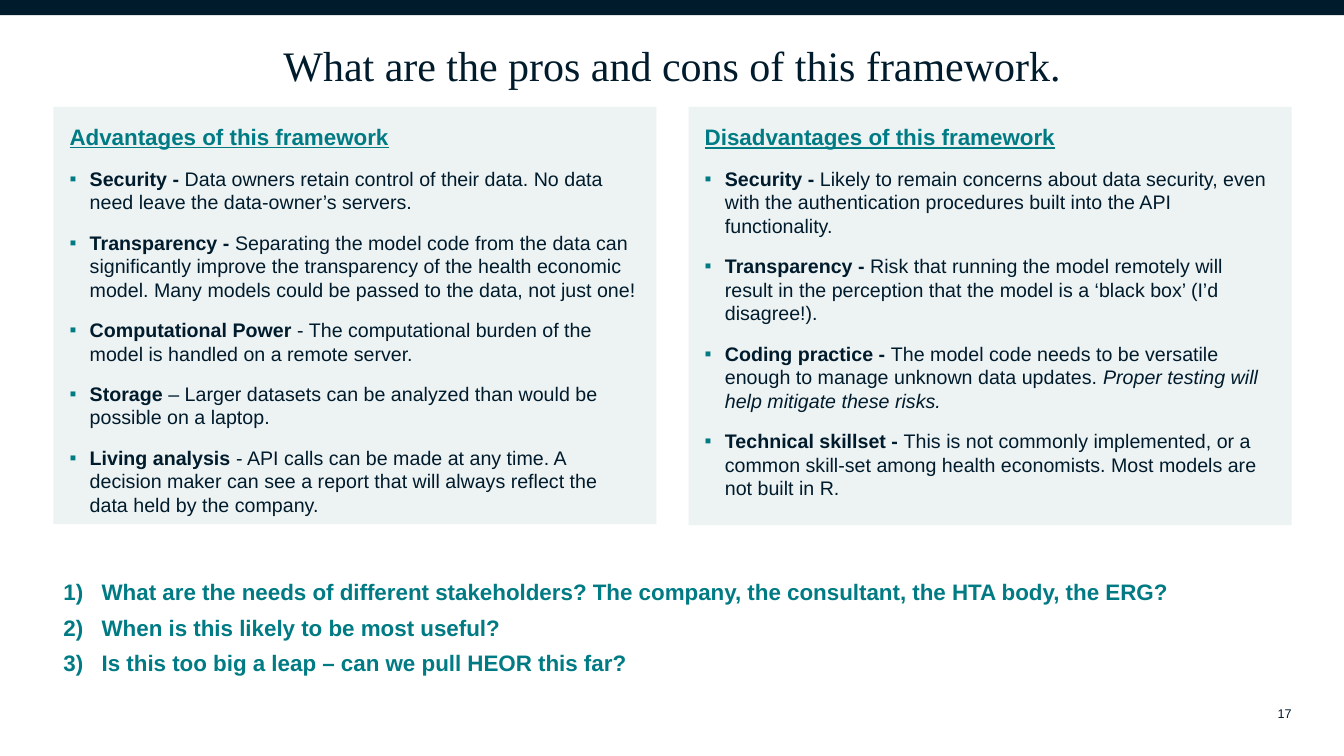
from lxml import etree
from pptx import Presentation, util as u
from pptx.dml import color
from pptx.enum import shapes, text
from pptx.oxml import ns

WIDTH, HEIGHT = 13.33, 7.5
MARGIN, GUTTER = 0.53, 0.32
CONTENT = WIDTH - 2 * MARGIN + 0.01
COLUMN = (CONTENT - GUTTER) / 2
NAVY, TEAL, PALE = "001B2B", "007B84", "EDF2F3"

TITLE = {"name": "Times New Roman", "size": u.Pt(30)}
NUMBER = {"name": "Arial", "size": u.Pt(9)}
QUESTION = {"name": "Arial", "size": u.Pt(16), "bold": True}
HEADING = {**QUESTION, "underline": True}
BODY = {"name": "Arial", "size": u.Pt(14)}
STRONG = {**BODY, "bold": True}
EMPHASIS = {**BODY, "italic": True}

HEADING_SPACING = {"space_after": u.Pt(6), "line_spacing": 1.0}
POINT_SPACING = {**HEADING_SPACING, "space_before": u.Pt(6)}

PANELS = [
    ("Advantages of this framework", 4.14, [
        ("Security -", " Data owners retain control of their data. No data need leave "
         "the data-owner’s servers."),
        ("Transparency -", " Separating the model code from the data can significantly improve "
         "the transparency of the health economic model. Many models could be passed to the "
         "data, not just one!"),
        ("Computational Power", " - The computational burden of the model is handled on a "
         "remote server."),
        ("Storage", " – Larger datasets can be analyzed than would be possible on a laptop."),
        ("Living analysis ", "- API calls can be made at any time. A decision maker can see a "
         "report that will always reflect the data held by the company."),
    ]),
    ("Disadvantages of this framework", 4.15, [
        ("Security - ", "Likely to remain concerns about data security, even with the "
         "authentication procedures built into the API functionality."),
        ("Transparency - ", "Risk that running the model remotely will result in the perception "
         "that the model is a ‘black box’ (I’d disagree!)."),
        ("Coding practice - ", "The model code needs to be versatile enough to manage unknown "
         "data updates. ", "Proper testing will help mitigate these risks."),
        ("Technical skillset - ", "This is not commonly implemented, or a common skill-set among "
         "health economists. Most models are not built in R."),
    ]),
]
QUESTIONS = [
    "What are the needs of different stakeholders? The company, the consultant, "
    "the HTA body, the ERG?",
    "When is this likely to be most useful?",
    "Is this too big a leap – can we pull HEOR this far?",
]


def rgb(value):
    """Turn a hex string into a colour."""
    return color.RGBColor.from_string(value)


def apply(target, formats):
    """Set each named attribute on the target."""
    for name, value in formats.items():
        setattr(target, name, value)


def add_rectangle(slide, left, top, width, height, fill):
    """Draw a plain filled rectangle."""
    shape = slide.shapes.add_shape(
        shapes.MSO_SHAPE.RECTANGLE, *map(u.Inches, (left, top, width, height)))
    shape.shadow.inherit = False
    shape.fill.solid()
    shape.fill.fore_color.rgb = rgb(fill)
    shape.line.fill.background()
    return shape


def add_text_frame(slide, left, top, width, height):
    """Place a wrapping text box and return its frame."""
    box = slide.shapes.add_textbox(*map(u.Inches, (left, top, width, height)))
    box.text_frame.word_wrap = True
    return box.text_frame


def set_insets(frame, inset):
    """Give all four sides of a text frame the same inset."""
    apply(frame, {f"margin_{side}": u.Inches(inset)
                  for side in ("left", "top", "right", "bottom")})


def add_runs(paragraph, runs, fill):
    """Append formatted runs of one colour."""
    for words, formats in runs:
        run = paragraph.add_run()
        run.text = words
        apply(run.font, formats)
        run.font.color.rgb = rgb(fill)


def next_paragraph(frame):
    """Return the empty first paragraph or a new one."""
    first = frame.paragraphs[0]
    return frame.add_paragraph() if first.runs else first


def add_paragraph(frame, runs, fill, formats):
    """Write one formatted paragraph."""
    paragraph = next_paragraph(frame)
    apply(paragraph, formats)
    add_runs(paragraph, runs, fill)
    return paragraph


def add_marker(paragraph, indent, tag, **attributes):
    """Hang the paragraph behind a teal bullet or number."""
    properties = paragraph._p.get_or_add_pPr()
    properties.set("marL", str(u.Inches(indent)))
    properties.set("indent", str(-u.Inches(indent)))
    marker_color = etree.SubElement(properties, ns.qn("a:buClr"))
    etree.SubElement(marker_color, ns.qn("a:srgbClr"), val=TEAL)
    etree.SubElement(properties, ns.qn("a:buFont"), typeface="Arial")
    etree.SubElement(properties, ns.qn(tag), **attributes)


def add_line(slide, place, words, font, formats, anchor):
    """Write a single line of navy text without insets."""
    frame = add_text_frame(slide, *place)
    set_insets(frame, 0)
    frame.vertical_anchor = anchor
    add_paragraph(frame, [(words, font)], NAVY, formats)


def add_panel(slide, column, heading, height, points):
    """Draw one column with a heading and bulleted points."""
    left = MARGIN + column * (COLUMN + GUTTER)
    frame = add_rectangle(slide, left, 1.06, COLUMN, height, PALE).text_frame
    set_insets(frame, 0.16)
    apply(frame, {"word_wrap": True, "vertical_anchor": text.MSO_ANCHOR.TOP})
    left_aligned = {"alignment": text.PP_ALIGN.LEFT}
    add_paragraph(frame, [(heading, HEADING)], TEAL, {**HEADING_SPACING, **left_aligned})
    for point in points:
        runs = zip(point, (STRONG, BODY, EMPHASIS))
        paragraph = add_paragraph(frame, runs, NAVY, {**POINT_SPACING, **left_aligned})
        add_marker(paragraph, 0.2, "a:buChar", char="▪")


def add_questions(slide):
    """Write the numbered questions below the panels."""
    frame = add_text_frame(slide, MARGIN, 5.69, CONTENT, 1.1)
    for question in QUESTIONS:
        paragraph = add_paragraph(frame, [(question, QUESTION)], TEAL, HEADING_SPACING)
        add_marker(paragraph, 0.38, "a:buAutoNum", type="arabicParenR")


def main():
    """Build and save the slide."""
    presentation = Presentation()
    apply(presentation, {"slide_width": u.Inches(WIDTH), "slide_height": u.Inches(HEIGHT)})
    slide = presentation.slides.add_slide(presentation.slide_layouts[6])
    add_rectangle(slide, 0, 0, WIDTH, HEIGHT / 50, NAVY)
    add_line(slide, (MARGIN, 0.38, CONTENT, 0.51), "What are the pros and cons of this framework.",
             TITLE, {"alignment": text.PP_ALIGN.CENTER}, text.MSO_ANCHOR.BOTTOM)
    for column, panel in enumerate(PANELS):
        add_panel(slide, column, *panel)
    add_questions(slide)
    add_line(slide, (12.34, 7, 0.47, 0.15), "17", NUMBER,
             {"alignment": text.PP_ALIGN.RIGHT}, text.MSO_ANCHOR.TOP)
    presentation.save("out.pptx")


if __name__ == "__main__":
    main()
